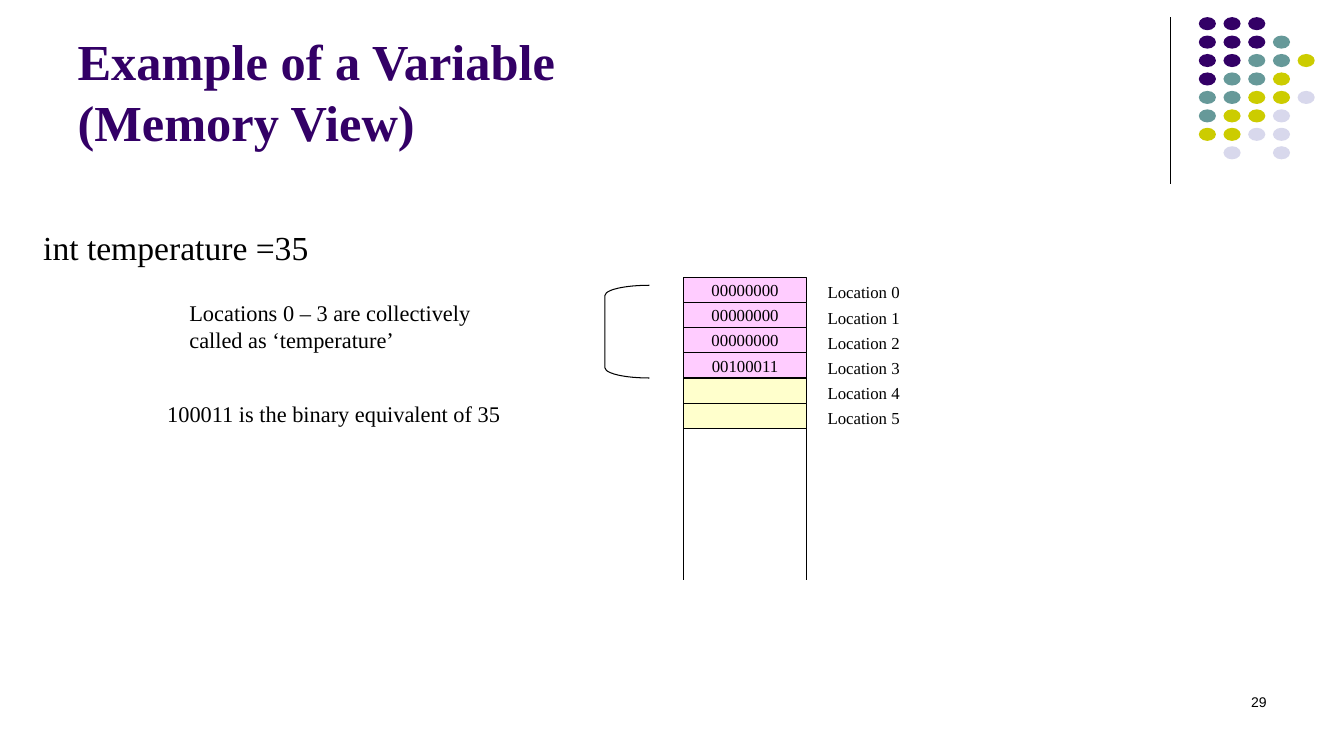
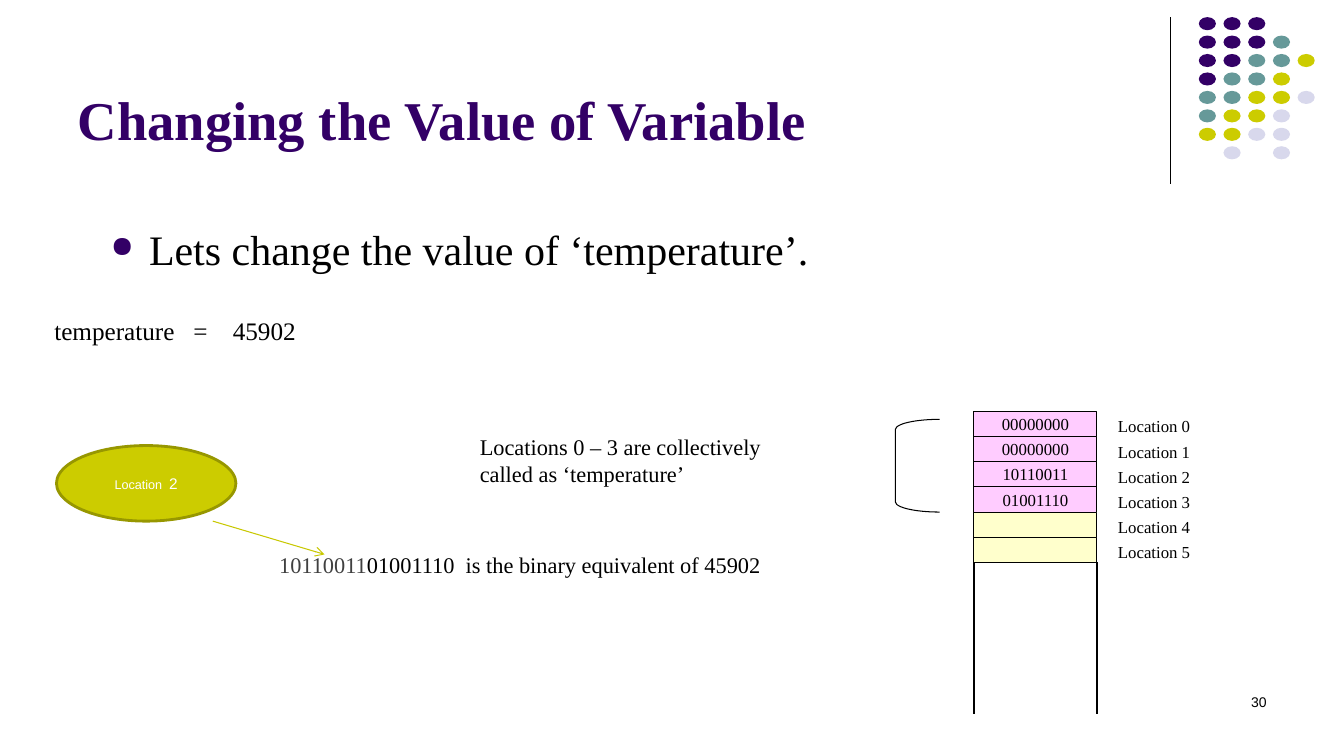
"""Build two slides that show how a variable is kept in memory."""
from lxml import etree
from pptx import Presentation
from pptx.dml.color import RGBColor
from pptx.enum import shapes, text
from pptx.oxml import ns
from pptx.util import Inches, Pt

COLORS = {
    "ink": "000000", "grey": "404040", "white": "FFFFFF",
    "purple": "330066", "teal": "669999", "lime": "CCCC00", "mist": "D8D8EC",
    "olive": "979700", "arrow": "C8C800", "pink": "FFCCFF", "cream": "FFFFCC",
}
DOT_COLORS = {"P": "purple", "T": "teal", "Y": "lime", "L": "mist"}
DOT_ROWS = ["PPP", "PPPT", "PPTTY", "PTTY", "TTYYL", "TYYL", "YYLL", " L L"]
SHAPE = shapes.MSO_SHAPE
ALIGN = text.PP_ALIGN
ANCHOR = text.MSO_ANCHOR


def rgb(name):
    return RGBColor.from_string(COLORS[name])


def add_xml(parent, tag, **attributes):
    return etree.SubElement(parent, ns.qn(tag), attributes)


class Slides:
    """Holds the shared style and the page being drawn."""

    serif = "Times New Roman"
    sans = "Arial"

    def __init__(self):
        self.deck = Presentation()
        self.deck.slide_width = Inches(13.33)
        self.deck.slide_height = Inches(7.5)
        self.page = None

    def start(self, title, size, number):
        self.page = self.deck.slides.add_slide(self.deck.slide_layouts[5])
        self.corner()
        box = self.page.shapes.title
        box.left, box.top = Inches(0.67), Inches(0.13)
        box.width, box.height = Inches(11), Inches(1.42)
        frame = box.text_frame
        frame.text = title
        frame.auto_size = text.MSO_AUTO_SIZE.NONE
        frame.vertical_anchor = ANCHOR.BOTTOM
        self.style(frame, size, "purple", bold=True)
        self.text(9.55, 6.83, 3.11, 0.5, str(number), 10, font=self.sans,
                  align=ALIGN.RIGHT, wrap=True)

    def corner(self):
        self.line(11.61, 0.17, 11.61, 1.83, width=0.75)
        group = self.page.shapes.add_group_shape()
        for row, marks in enumerate(DOT_ROWS):
            for column, mark in enumerate(marks):
                if mark in DOT_COLORS:
                    self.shape(SHAPE.OVAL, 11.89 + 0.245 * column,
                               0.17 + 0.183 * row, 0.17, 0.13,
                               DOT_COLORS[mark], None, parent=group)

    def style(self, frame, size, color="ink", font=serif, align=ALIGN.LEFT,
              bold=False):
        for para in frame.paragraphs:
            para.alignment = align
            for span in para.runs:
                span.font.size = Pt(size)
                span.font.name = font
                span.font.bold = bold
                span.font.color.rgb = rgb(color)

    def text(self, left, top, width, height, words, size, font=serif,
             align=ALIGN.LEFT, wrap=False):
        box = self.page.shapes.add_textbox(
            Inches(left), Inches(top), Inches(width), Inches(height))
        frame = box.text_frame
        frame.text = words
        frame.word_wrap = wrap
        self.style(frame, size, font=font, align=align)
        return frame.paragraphs[0]

    def bullet(self, para, indent):
        props = para._p.get_or_add_pPr()
        props.set("marL", str(Inches(indent)))
        props.set("indent", str(-Inches(indent)))
        color = add_xml(props, "a:buClr")
        add_xml(color, "a:srgbClr", val=COLORS["purple"])
        add_xml(props, "a:buSzPct", val="70000")
        add_xml(props, "a:buChar", char="●")

    def tabs(self, para, *stops):
        tab_list = add_xml(para._p.get_or_add_pPr(), "a:tabLst")
        for stop in stops:
            add_xml(tab_list, "a:tab", pos=str(Inches(stop)), algn="l")

    def shape(self, kind, left, top, width, height, fill, line="ink",
              line_width=0.75, parent=None):
        shape = (parent or self.page).shapes.add_shape(
            kind, Inches(left), Inches(top), Inches(width), Inches(height))
        shape.shadow.inherit = False
        if fill:
            shape.fill.solid()
            shape.fill.fore_color.rgb = rgb(fill)
        else:
            shape.fill.background()
        if line:
            shape.line.color.rgb = rgb(line)
            shape.line.width = Pt(line_width)
        else:
            shape.line.fill.background()
        return shape

    def line(self, x1, y1, x2, y2, color="ink", width=1, arrow=False):
        line = self.page.shapes.add_connector(
            shapes.MSO_CONNECTOR.STRAIGHT,
            Inches(x1), Inches(y1), Inches(x2), Inches(y2))
        line.line.color.rgb = rgb(color)
        line.line.width = Pt(width)
        props = line.element.spPr
        if arrow:
            add_xml(props.find(ns.qn("a:ln")), "a:tailEnd", type="arrow")
        add_xml(props, "a:effectLst")

    def memory(self, left, top, values):
        width, step, count = 1.22, 0.25, 6
        for index in range(count):
            y = top + step * index
            used = index < len(values)
            cell = self.shape(SHAPE.RECTANGLE, left, y, width, step,
                              "pink" if used else "cream")
            if used:
                frame = cell.text_frame
                frame.text = values[index]
                frame.word_wrap = False
                frame.vertical_anchor = ANCHOR.MIDDLE
                self.style(frame, 12, align=ALIGN.CENTER)
            self.text(left + 1.33, y, 0.93, 0.3, f"Location {index}", 12)
        bottom = top + step * count
        for x in (left, left + width):
            self.line(x, bottom, x, bottom + 1.5)
        bracket = self.shape(SHAPE.LEFT_BRACKET, left - 0.78, top + 0.08,
                             0.44, 0.92, None)
        bracket.adjustments[0] = 0.23
        self.text(left - 5, top + 0.17, 3.09, 0.64,
                  "Locations 0 – 3 are collectively\ncalled as ‘temperature’",
                  16)

    def callout(self, left, top, width, height, label, value):
        oval = self.shape(SHAPE.OVAL, left, top, width, height, "lime",
                          "olive", 2)
        frame = oval.text_frame
        frame.text = label
        frame.vertical_anchor = ANCHOR.MIDDLE
        para = frame.paragraphs[0]
        para.add_run().text = value
        self.style(frame, 9, "white", self.sans, ALIGN.CENTER)
        para.runs[1].font.size = Pt(11)


def main():
    slides = Slides()

    slides.start("Example of a Variable\v(Memory View)", 36, 29)
    declaration = slides.text(0.33, 2.25, 5.22, 0.75, "int temperature =35",
                              24, wrap=True)
    declaration.line_spacing = 0.9
    declaration.space_before = Pt(4.8)
    slides.memory(6.78, 2.75, ["00000000"] * 3 + ["00100011"])
    slides.text(1.56, 3.92, 3.55, 0.37,
                "100011 is the binary equivalent of 35", 16)

    slides.start("Changing the Value of Variable", 39, 30)
    change = slides.text(1, 2.17, 11.33, 0.75,
                         "Lets change the value of ‘temperature’.", 30,
                         wrap=True)
    change.space_before = Pt(6)
    slides.bullet(change, 0.38)
    assignment = slides.text(0.44, 3.08, 2.62, 0.4, "temperature\t=\t45902",
                             18, wrap=True)
    slides.tabs(assignment, 1.38, 1.77)
    slides.memory(9.66, 4.08,
                  ["00000000", "00000000", "10110011", "01001110"])
    binary = slides.text(2.67, 5.42, 6.78, 0.37, "10110011", 16, wrap=True)
    rest = binary.add_run()
    rest.text = "01001110  is the binary equivalent of 45902"
    rest.font.size = Pt(16)
    rest.font.name = slides.serif
    rest.font.color.rgb = rgb("ink")
    binary.runs[0].font.color.rgb = rgb("grey")
    slides.line(2.11, 5.17, 3.22, 5.5, "arrow", 0.75, arrow=True)
    slides.callout(0.56, 4.42, 1.78, 0.75, "Location  ", "2")

    slides.deck.save("out.pptx")


if __name__ == "__main__":
    main()
